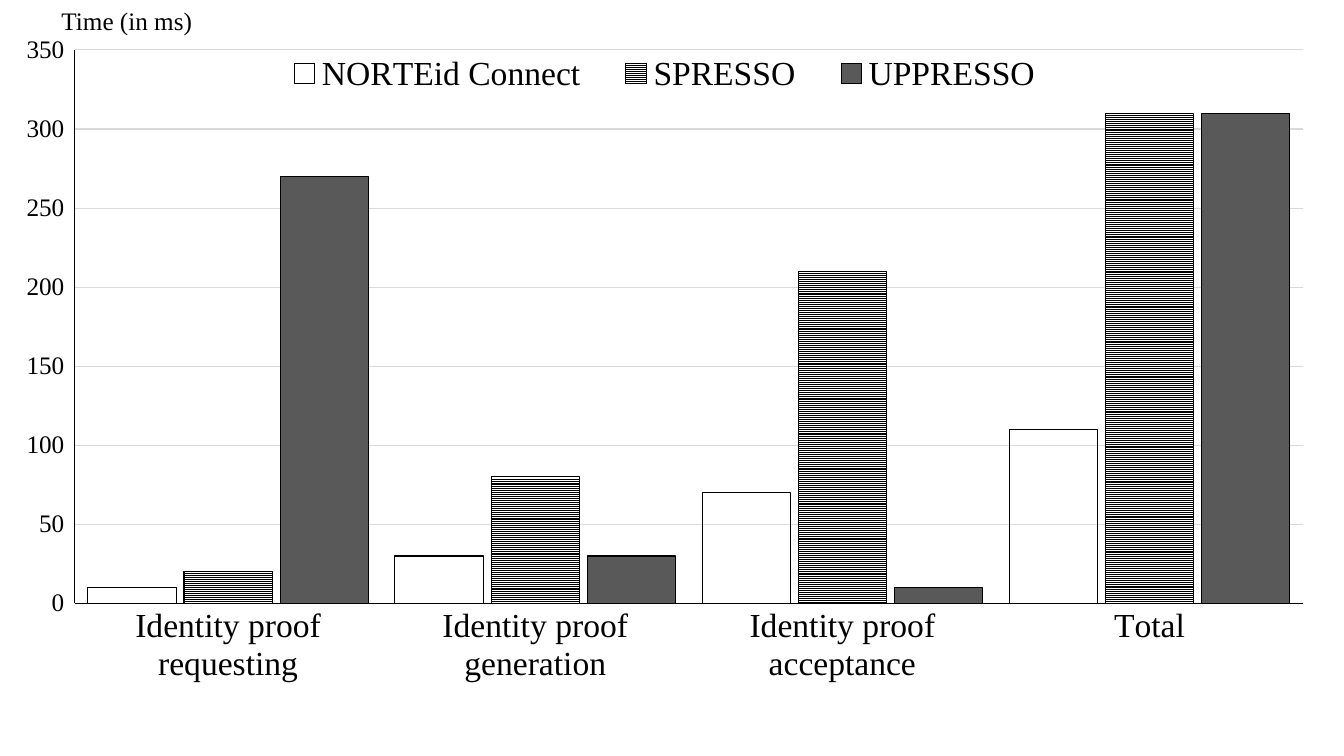
from lxml import etree
from pptx import Presentation
from pptx.chart.data import CategoryChartData
from pptx.dml.color import RGBColor
from pptx.enum.chart import XL_CHART_TYPE, XL_LEGEND_POSITION, XL_TICK_MARK
from pptx.enum.dml import MSO_PATTERN
from pptx.enum.text import MSO_AUTO_SIZE
from pptx.oxml.ns import qn
from pptx.util import Cm, Pt

CLUSTERED = XL_CHART_TYPE.COLUMN_CLUSTERED
LEGEND_BOTTOM = XL_LEGEND_POSITION.BOTTOM
NO_TICK = XL_TICK_MARK.NONE
STRIPES = MSO_PATTERN.LIGHT_HORIZONTAL
FIT_TEXT = MSO_AUTO_SIZE.SHAPE_TO_FIT_TEXT

CHART_WIDTH, CHART_HEIGHT = Cm(33.53), Cm(18.52)
STEPS = ["Identity proof requesting", "Identity proof generation",
         "Identity proof acceptance", "Total"]
TIMES = {
    "NORTEid Connect": [10, 30, 70, 110],
    "SPRESSO": [20, 80, 210, 310],
    "UPPRESSO": [270, 30, 10, 310],
}


def color(hex_code):
    """Turn a hex string into a colour."""
    return RGBColor.from_string(hex_code)


def place(parent, index, left, top, width, height, inner=False):
    """Fix a chart part at lengths measured from the chart's corner."""
    for automatic in parent.findall(qn("c:layout")):
        parent.remove(automatic)
    layout = etree.Element(qn("c:layout"))
    manual = etree.SubElement(layout, qn("c:manualLayout"))
    settings = {"layoutTarget": "inner"} if inner else {}
    settings.update(xMode="edge", yMode="edge",
                    x=left / CHART_WIDTH, y=top / CHART_HEIGHT,
                    w=width / CHART_WIDTH, h=height / CHART_HEIGHT)
    for tag, value in settings.items():
        etree.SubElement(manual, qn(f"c:{tag}")).set("val", str(value))
    parent.insert(index, layout)


class SlideStyle:
    """Holds the style and the current slide."""

    face = "Times New Roman"
    ink = "000000"
    grid = "D9D9D9"
    dark = "595959"
    paper = "FFFFFF"
    small, large = 18, 24
    hairline = 0.75

    def __init__(self, slide):
        """Keep the slide to draw on."""
        self.slide = slide

    def font(self, font, size):
        """Apply face, ink and size to a font."""
        font.name = self.face
        font.size = Pt(size)
        font.color.rgb = color(self.ink)

    def line(self, line, hex_code):
        """Draw a hairline in the given colour."""
        line.color.rgb = color(hex_code)
        line.width = Pt(self.hairline)

    def axis(self, axis, size):
        """Style one chart axis."""
        axis.major_tick_mark = axis.minor_tick_mark = NO_TICK
        self.font(axis.tick_labels.font, size)
        self.line(axis.format.line, self.ink)

    def time_axis(self, axis):
        """Scale the value axis and set its labels off from the line."""
        self.axis(axis, self.small)
        axis.minimum_scale, axis.maximum_scale = 0, 350
        axis.major_unit = 50
        axis.tick_labels.number_format = "0_ "
        axis.tick_labels.number_format_is_linked = False
        self.line(axis.major_gridlines.format.line, self.grid)

    def fill_series(self, plot):
        """Make the bars hollow, striped and dark, all outlined."""
        hollow, striped, dark = (bars.format.fill for bars in plot.series)
        hollow.background()
        striped.patterned()
        striped.pattern = STRIPES
        striped.fore_color.rgb = color(self.ink)
        striped.back_color.rgb = color(self.paper)
        dark.solid()
        dark.fore_color.rgb = color(self.dark)
        for bars in plot.series:
            bars.invert_if_negative = False
            self.line(bars.format.line, self.ink)

    def legend(self, chart):
        """Put the legend inside the top of the plot."""
        chart.has_legend = True
        legend = chart.legend
        legend.position = LEGEND_BOTTOM
        legend.include_in_layout = True
        self.font(legend.font, self.large)
        place(chart.element.find(f".//{qn('c:legend')}"), 1,
              Cm(6.55), Cm(0.77), Cm(20.4), Cm(1.11))

    def column_chart(self, categories, series, left, top):
        """Add a clustered column chart."""
        data = CategoryChartData()
        data.categories = categories
        for name, values in series.items():
            data.add_series(name, values)
        chart = self.slide.shapes.add_chart(
            CLUSTERED, Cm(left), Cm(top), CHART_WIDTH, CHART_HEIGHT,
            data).chart
        chart.has_title = False
        self.font(chart.font, 10)

        plot = chart.plots[0]
        plot.gap_width, plot.overlap = 30, -9
        plot.vary_by_categories = False
        self.fill_series(plot)

        self.axis(chart.category_axis, self.large)
        self.time_axis(chart.value_axis)
        self.legend(chart)
        place(chart.element.find(f".//{qn('c:plotArea')}"), 0,
              Cm(1.88), Cm(0.73), Cm(30.96), Cm(13.95), inner=True)

    def label(self, words, left, top, width, height):
        """Add a one-line text box."""
        frame = self.slide.shapes.add_textbox(
            Cm(left), Cm(top), Cm(width), Cm(height)).text_frame
        frame.word_wrap = False
        frame.auto_size = FIT_TEXT
        run = frame.paragraphs[0].add_run()
        run.text = words
        self.font(run.font, self.small)


def main():
    """Build and save the slide."""
    deck = Presentation()
    deck.slide_width, deck.slide_height = Cm(33.87), Cm(19.05)
    page = SlideStyle(deck.slides.add_slide(deck.slide_layouts[6]))
    page.column_chart(STEPS, TIMES, 0, 0.53)
    page.label("Time (in ms)", 1.3, 0, 3.84, 1.02)
    deck.save("out.pptx")


main()
